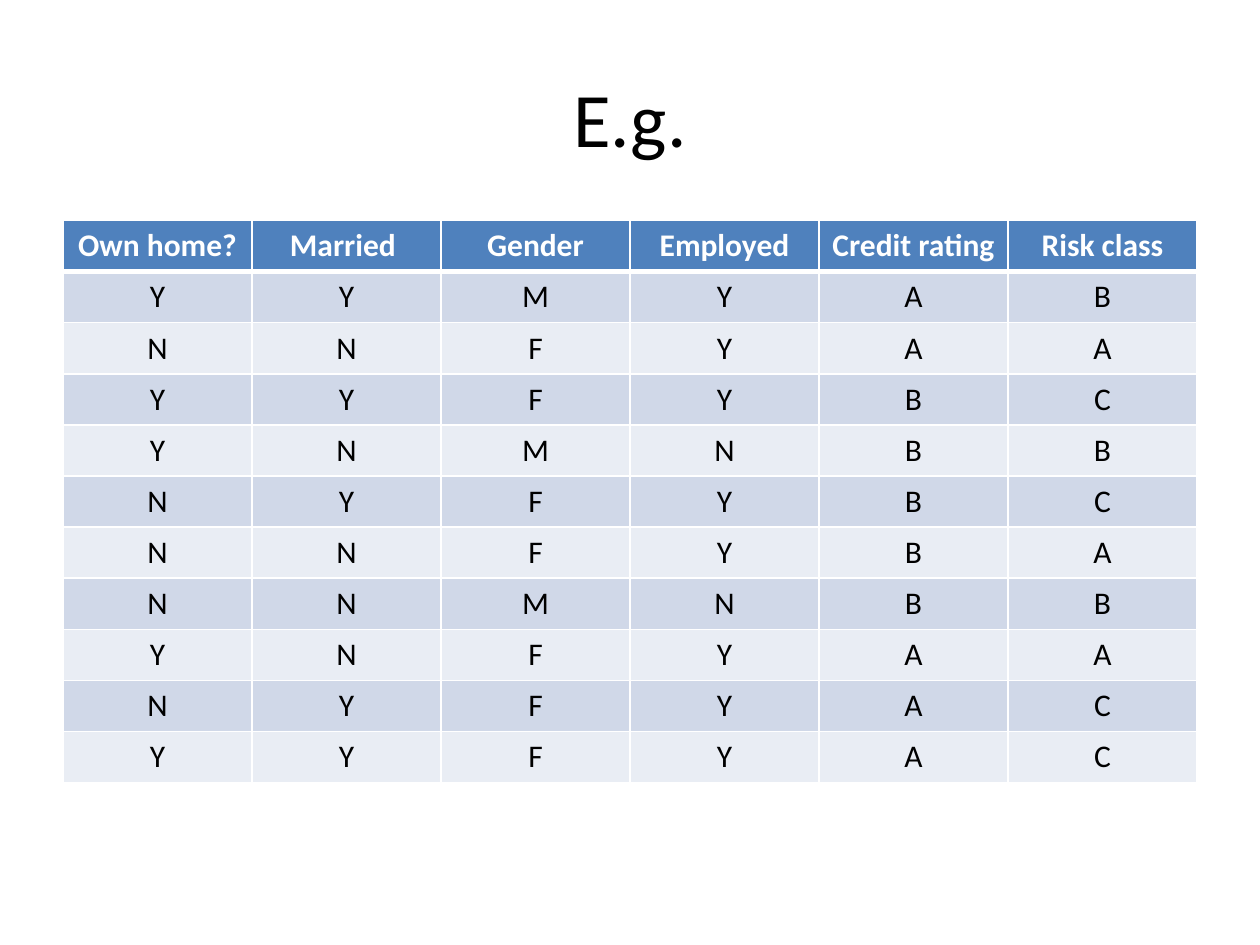
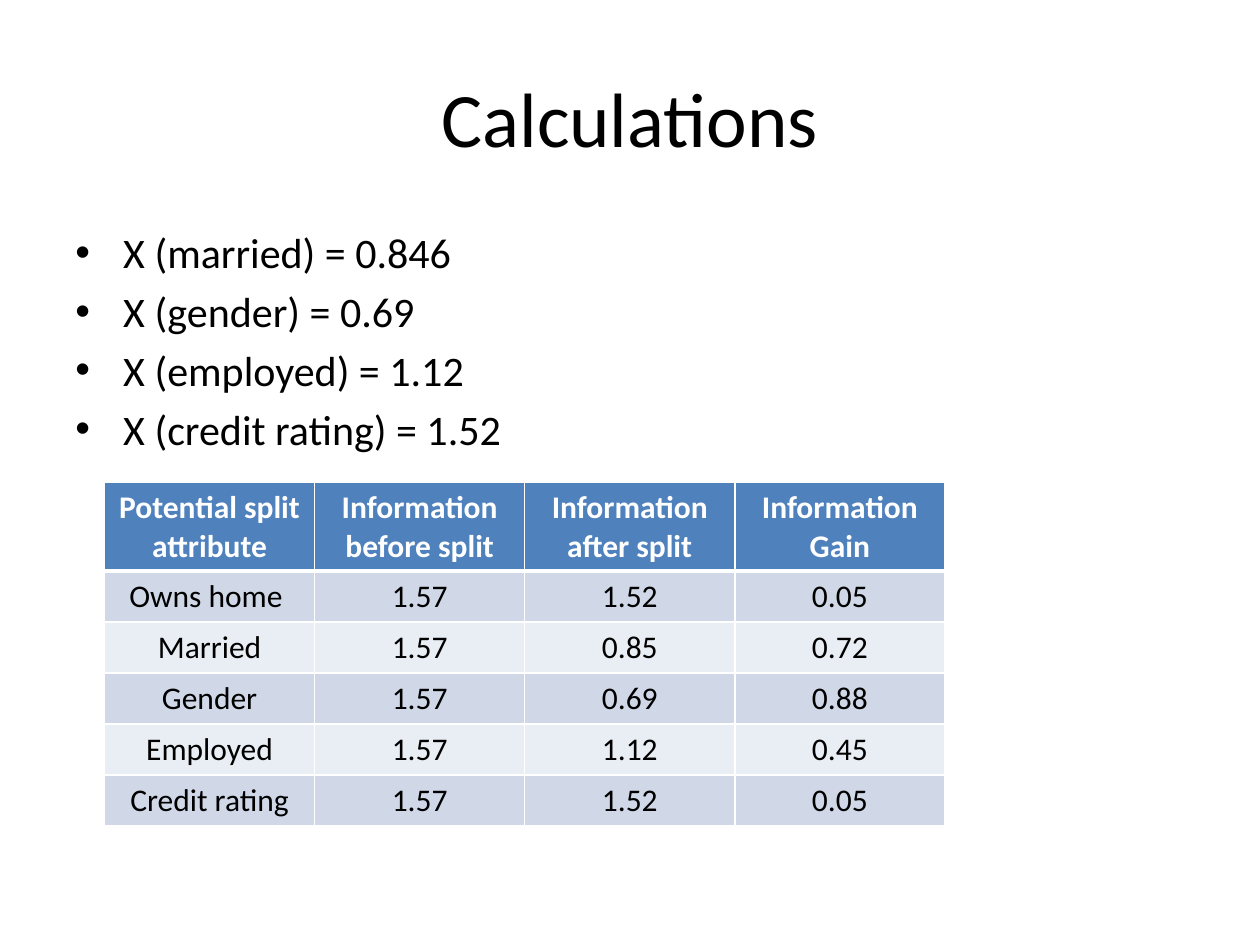
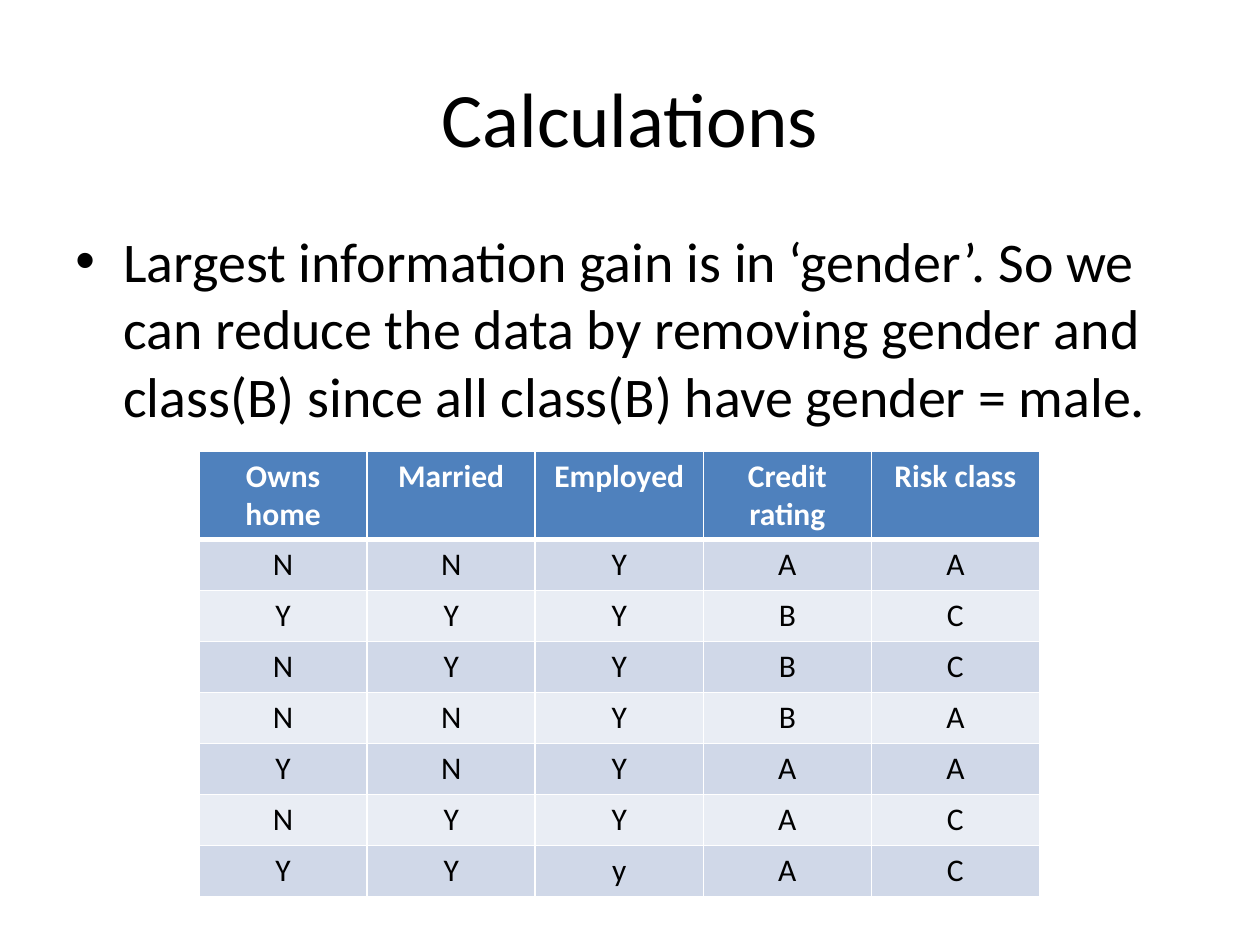
from lxml.etree import SubElement
from pptx import Presentation
from pptx.dml.color import RGBColor
from pptx.enum.text import MSO_ANCHOR, PP_ALIGN
from pptx.oxml import parse_xml
from pptx.oxml.ns import nsdecls, qn
from pptx.util import Inches, Pt

FONT = "Calibri"
BLACK, WHITE = "000000", "FFFFFF"
HEADER_FILL = "4F81BD"
BAND_FILLS = ("D0D8E8", "E9EDF4")
ROW_HEIGHT = Inches(4.46) // 11
BULLET_INDENT = Inches(0.38)

RISK_HEADER = ["Own home?", "Married ", "Gender", "Employed", "Credit rating ", "Risk class"]
RISK_RECORDS = [
    "YYMYAB", "NNFYAA", "YYFYBC", "YNMNBB", "NYFYBC",
    "NNFYBA", "NNMNBB", "YNFYAA", "NYFYAC", "YYFYAC",
]
SPLIT_INFORMATION = [
    "X (married) = 0.846",
    "X (gender) = 0.69",
    "X (employed) = 1.12",
    "X (credit rating) = 1.52",
]
GAIN_HEADER = [
    "Potential split attribute", "Information before split",
    "Information after split", "Information Gain",
]
GAINS = [
    ("Owns home ", "1.57", "1.52", "0.05"),
    ("Married", "1.57", "0.85", "0.72"),
    ("Gender", "1.57", "0.69", "0.88"),
    ("Employed", "1.57", "1.12", "0.45"),
    ("Credit rating", "1.57", "1.52", "0.05"),
]
CONCLUSION = (
    "Largest information gain is in ‘gender’. So we can reduce the data by "
    "removing gender and class(B) since all class(B) have gender = male."
)
REDUCED_HEADER = ["Owns home", "Married", "Employed", "Credit rating", "Risk class"]
REDUCED_RECORDS = ["NNYAA", "YYYBC", "NYYBC", "NNYBA", "YNYAA", "NYYAC", "YYyAC"]


def color(value):
    return RGBColor.from_string(value)


class Deck:
    """Builds slides with one shared style for titles, bullets and tables."""

    def __init__(self):
        self.presentation = Presentation()
        self.presentation.slide_width = Inches(10)
        self.presentation.slide_height = Inches(7.5)
        self.slide = None

    def add_text(self, paragraph, text, size, text_color=BLACK, bold=False):
        run = paragraph.add_run()
        run.text = text
        run.font.name = FONT
        run.font.size = Pt(size)
        run.font.bold = bold
        run.font.color.rgb = color(text_color)

    def add_slide(self, heading):
        self.slide = self.presentation.slides.add_slide(self.presentation.slide_layouts[5])
        self.slide.background.fill.solid()
        self.slide.background.fill.fore_color.rgb = color(WHITE)
        title = self.slide.shapes.title
        title.left, title.top = Inches(0.5), Inches(0.3)
        title.width, title.height = Inches(9), Inches(1.25)
        title.text_frame.vertical_anchor = MSO_ANCHOR.MIDDLE
        paragraph = title.text_frame.paragraphs[0]
        paragraph.alignment = PP_ALIGN.CENTER
        self.add_text(paragraph, heading, 44)

    def add_bullets(self, items, size):
        body = self.slide.shapes.add_textbox(Inches(0.5), Inches(1.75), Inches(9), Inches(4.95))
        frame = body.text_frame
        frame.word_wrap = True
        for index, item in enumerate(items):
            paragraph = frame.add_paragraph() if index else frame.paragraphs[0]
            paragraph.space_before = Pt(size * 0.2)
            properties = paragraph._p.get_or_add_pPr()
            properties.set("marL", str(BULLET_INDENT))
            properties.set("indent", str(-BULLET_INDENT))
            SubElement(properties, qn("a:buFont"), typeface="Arial")
            SubElement(properties, qn("a:buChar"), char="•")
            self.add_text(paragraph, item, size)

    def add_borders(self, cell, top, bottom):
        properties = cell._tc.get_or_add_tcPr()
        widths = {"lnL": 1, "lnR": 1, "lnT": top, "lnB": bottom}
        for position, (side, width) in enumerate(widths.items()):
            properties.insert(position, parse_xml(
                f'<a:{side} {nsdecls("a")} w="{Pt(width)}"><a:solidFill>'
                f'<a:srgbClr val="{WHITE}"/></a:solidFill></a:{side}>'
            ))

    def add_table(self, header, records, left, top, width, height):
        rows = [header, *records]
        table = self.slide.shapes.add_table(
            len(rows), len(header), Inches(left), Inches(top), Inches(width), Inches(height)
        ).table
        for row_index, values in enumerate(rows):
            table.rows[row_index].height = ROW_HEIGHT
            is_header = row_index == 0
            fill = HEADER_FILL if is_header else BAND_FILLS[(row_index - 1) % 2]
            for column_index, value in enumerate(values):
                cell = table.cell(row_index, column_index)
                cell.fill.solid()
                cell.fill.fore_color.rgb = color(fill)
                self.add_borders(cell, 3 if row_index == 1 else 1, 3 if is_header else 1)
                paragraph = cell.text_frame.paragraphs[0]
                paragraph.alignment = PP_ALIGN.CENTER
                self.add_text(paragraph, value, 18, WHITE if is_header else BLACK, is_header)


deck = Deck()

deck.add_slide("E.g.")
deck.add_table(RISK_HEADER, RISK_RECORDS, 0.5, 1.75, 9, 4.46)

deck.add_slide("Calculations")
deck.add_bullets(SPLIT_INFORMATION, 24)
deck.add_table(GAIN_HEADER, GAINS, 0.83, 3.83, 6.67, 2.73)

deck.add_slide("Calculations")
deck.add_bullets([CONCLUSION], 32)
deck.add_table(REDUCED_HEADER, REDUCED_RECORDS, 1.58, 3.58, 6.67, 3.54)

deck.presentation.save("out.pptx")
